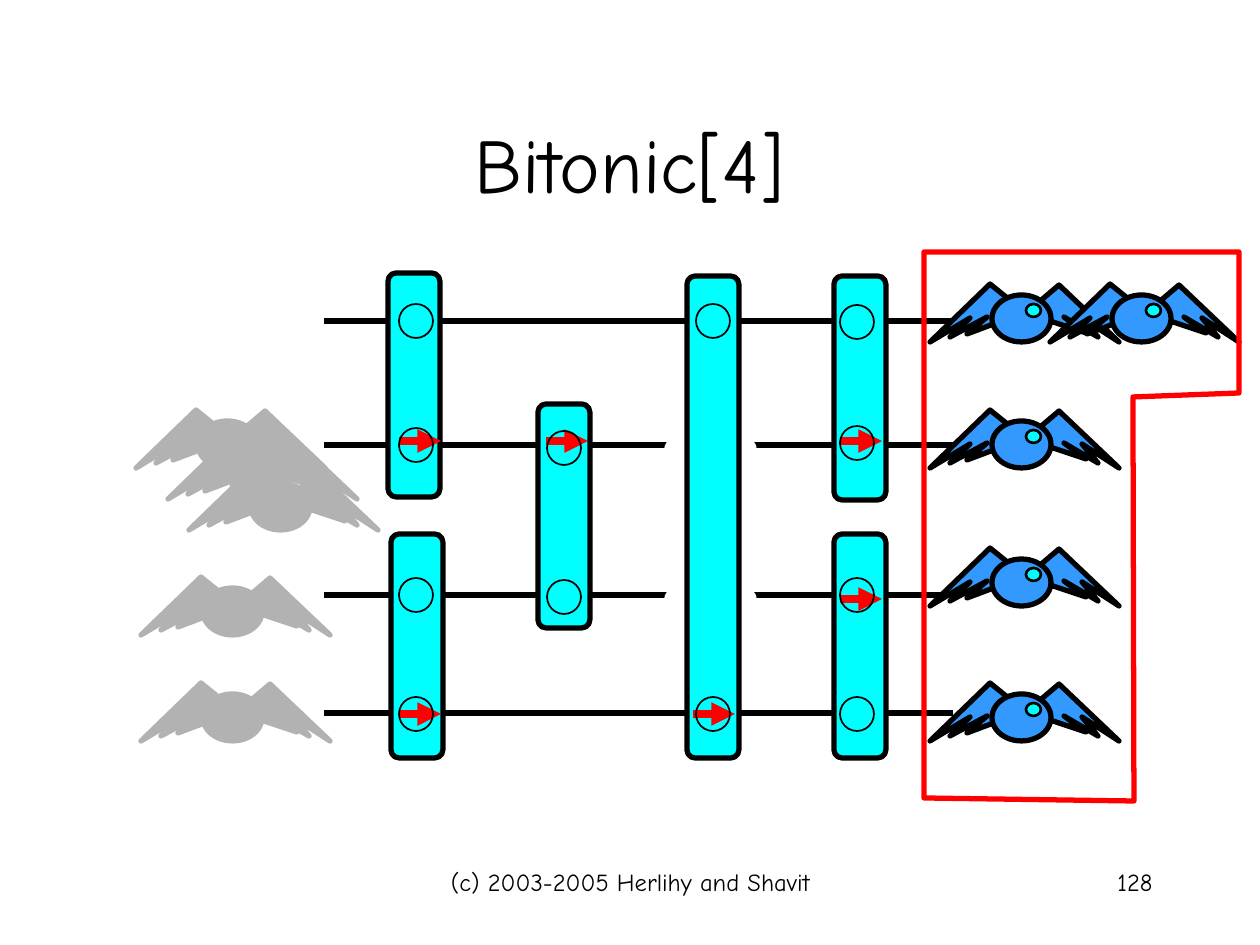
from dataclasses import dataclass

import pptx
import pptx.dml.color
import pptx.enum.shapes
import pptx.enum.text
import pptx.oxml.ns
import pptx.util
from lxml import etree

SCALE = 914400 / 126  # EMU in one px
FONT = "Comic Neue"
BLACK, WHITE, RED, CYAN = "000000", "FFFFFF", "FF0000", "00FFFF"
BLUE, GREY = "3399FF", "B2B2B2"
KIND = pptx.enum.shapes.MSO_SHAPE
ALIGN = pptx.enum.text.PP_ALIGN
ANCHOR = pptx.enum.text.MSO_ANCHOR

LEFT_WING = [(86, 21), (60, 0), (0, 58), (40, 34), (20, 53), (57, 33), (37, 50), (93, 29)]
RIGHT_WING = [(102, 24), (129, 1), (189, 58), (152, 34),
              (168, 53), (134, 33), (156, 49), (96, 29)]
FRAME = [(924, 252), (924, 798), (1134, 801), (1133, 397), (1239, 393), (1239, 252)]


@dataclass
class Bar:
    left: int
    top: int
    high: int = 224


@dataclass
class Ports:
    left: int
    tops: tuple


@dataclass
class Bird:
    left: int
    top: int
    body: str = BLUE
    edge: str = BLACK
    eye: str = CYAN


def px(count: int) -> int:
    return round(count * SCALE)


def paint(code: str) -> pptx.dml.color.RGBColor:
    return pptx.dml.color.RGBColor.from_string(code)


def style(shape, fill: str | None, edge: str, weight: float) -> None:
    shape.shadow.inherit = False
    if fill:
        shape.fill.solid()
        shape.fill.fore_color.rgb = paint(fill)
    else:
        shape.fill.background()
    shape.line.color.rgb = paint(edge)
    shape.line.width = pptx.util.Pt(weight)


def draw(shapes, kind, box: tuple, fill: str | None, edge: str, weight: float):
    shape = shapes.add_shape(kind, *map(px, box))
    style(shape, fill, edge, weight)
    return shape


def trace(shapes, points: list, fill: str | None, edge: str, weight: float) -> None:
    pen = shapes.build_freeform(*points[0], scale=SCALE)
    pen.add_line_segments(points[1:], close=True)
    style(pen.convert_to_shape(), fill, edge, weight)


def wire(shapes, start: int, end: int, y: int, color: str, weight: float,
         head: bool = False) -> None:
    line = shapes.add_connector(pptx.enum.shapes.MSO_CONNECTOR.STRAIGHT,
                                px(start), px(y), px(end), px(y))
    line.line.color.rgb = paint(color)
    line.line.width = pptx.util.Pt(weight)
    if head:
        etree.SubElement(line.line._get_or_add_ln(),
                         pptx.oxml.ns.qn("a:tailEnd"), type="triangle")
    etree.SubElement(line._element.spPr, pptx.oxml.ns.qn("a:effectLst"))


def write(shape, text: str, *, box: tuple, size: int, align=ALIGN.CENTER,
          anchor=ANCHOR.TOP) -> None:
    shape.left, shape.top, shape.width, shape.height = map(px, box)
    frame = shape.text_frame
    frame.auto_size = pptx.enum.text.MSO_AUTO_SIZE.NONE
    frame.word_wrap = True
    frame.vertical_anchor = anchor
    frame.text = text
    line = frame.paragraphs[0]
    line.alignment = align
    font = line.runs[0].font
    font.name, font.size = FONT, pptx.util.Pt(size)
    font.color.rgb = paint(BLACK)


def draw_bird(shapes, bird: Bird) -> None:
    parts = shapes.add_group_shape().shapes
    for wing in (RIGHT_WING, LEFT_WING):
        points = [(bird.left + x, bird.top + y) for x, y in wing]
        trace(parts, points, bird.body, bird.edge, 3)
    draw(parts, KIND.OVAL, (bird.left + 62, bird.top + 11, 59, 47),
         bird.body, bird.edge, 3)
    draw(parts, KIND.OVAL, (bird.left + 96, bird.top + 20, 15, 13),
         bird.eye, bird.edge if bird.body == GREY else BLACK, 1.5)


def main() -> None:
    deck = pptx.Presentation()
    deck.slide_width, deck.slide_height = px(1260), px(945)
    slide = deck.slides.add_slide(deck.slide_layouts[5])
    shapes = slide.shapes

    # Title
    write(shapes.title, "Bitonic[4]", box=(94, 84, 1071, 158), size=44,
          anchor=ANCHOR.MIDDLE)

    # Wires, with gaps where the middle two pass the tall bar
    for y in (445, 595):
        wire(shapes, 324, 953, y, BLACK, 3)
        draw(shapes, KIND.OVAL, (665, y - 15, 91, 37), WHITE, WHITE, 0.75)
    for y in (321, 713):
        wire(shapes, 324, 953, y, BLACK, 3)

    # Balancers
    for bar in (Bar(391, 534), Bar(388, 273), Bar(538, 404),
                Bar(687, 276, 482), Bar(834, 534), Bar(834, 276)):
        block = draw(shapes, KIND.ROUNDED_RECTANGLE,
                     (bar.left, bar.top, 52, bar.high), CYAN, BLACK, 3)
        block.adjustments[0] = 0.16

    # Red arrows show the next exit
    for x, y in ((399, 441), (399, 714), (546, 441), (693, 714),
                 (840, 599), (840, 441)):
        wire(shapes, x, x + 42, y, RED, 4.5, head=True)

    # Tokens: grey ones have left, blue ones have come out
    for x, y in ((136, 410), (168, 441), (189, 472), (141, 577), (141, 683)):
        draw_bird(shapes, Bird(x, y, GREY, GREY, GREY))
    for x, y in ((930, 284), (930, 410), (930, 548), (930, 683), (1050, 284)):
        draw_bird(shapes, Bird(x, y))

    # Step outline round the output
    trace(shapes, FRAME, None, RED, 3)

    # Ports on the balancers
    for ports in (Ports(399, (304, 428, 578, 697)), Ports(547, (431, 580)),
                  Ports(696, (304, 697)), Ports(840, (305, 426, 578, 697))):
        for top in ports.tops:
            draw(shapes, KIND.OVAL, (ports.left, top, 34, 34), None, BLACK, 1)

    # Footer and page number
    for text, box, align in (
            ("(c) 2003-2005 Herlihy and Shavit", (431, 861, 399, 63), ALIGN.CENTER),
            ("128", (903, 861, 262, 63), ALIGN.RIGHT)):
        write(shapes.add_textbox(0, 0, 0, 0), text, box=box, size=14, align=align)

    deck.save("out.pptx")


if __name__ == "__main__":
    main()
